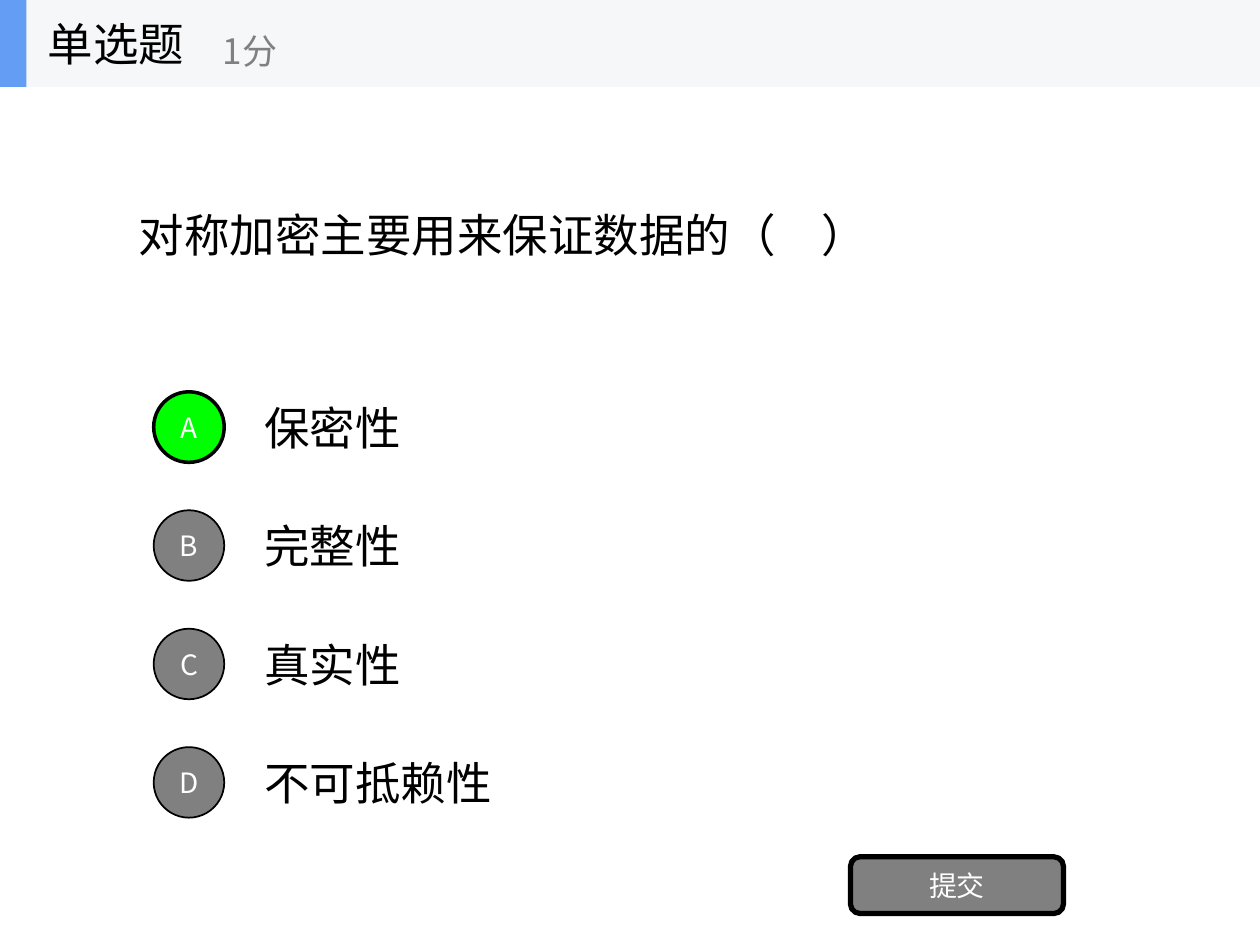
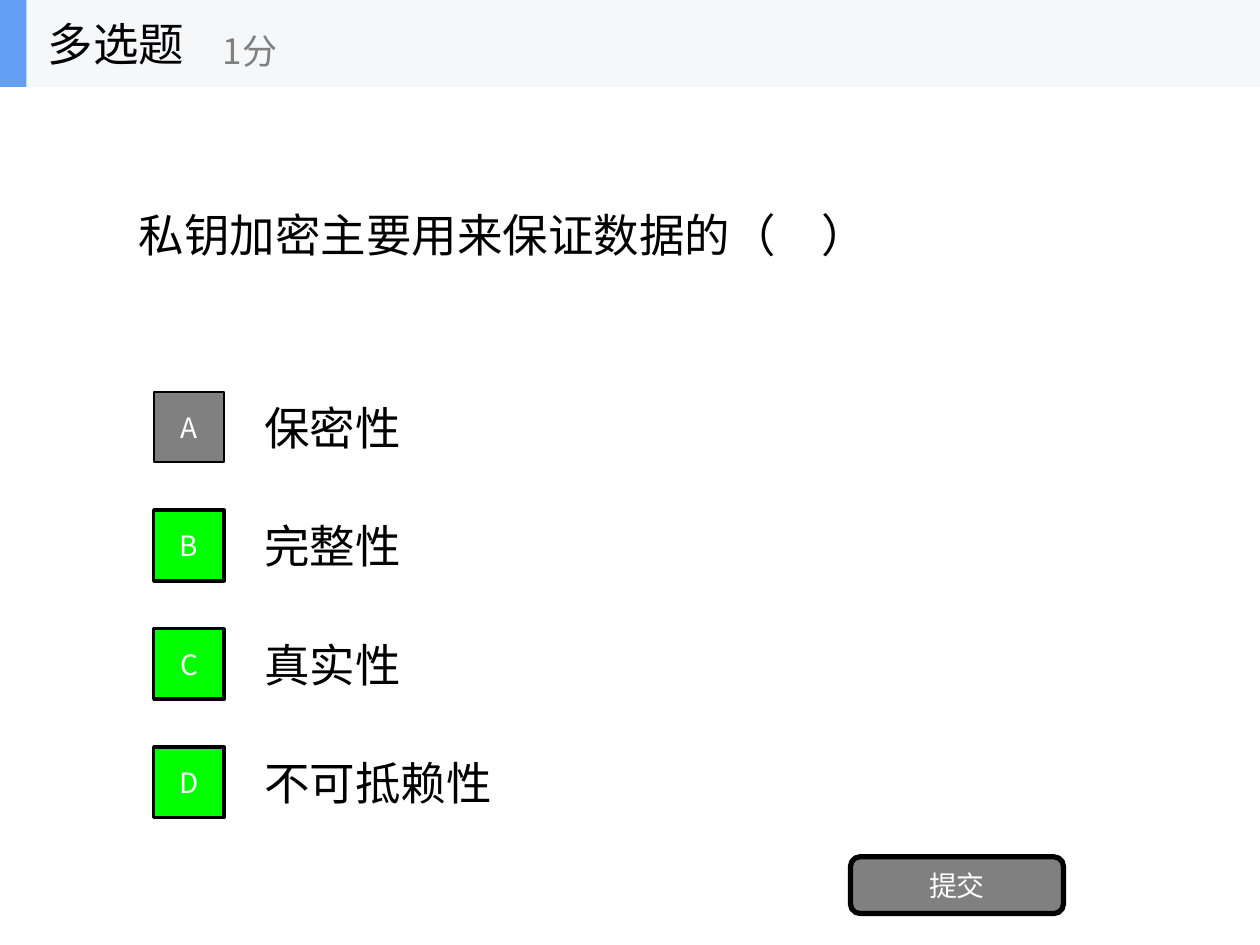
"""Build two quiz slides: a single-choice and a multiple-choice question."""
from dataclasses import dataclass

from lxml import etree
from pptx import Presentation
from pptx.dml.color import RGBColor
from pptx.enum.shapes import MSO_SHAPE
from pptx.enum.text import MSO_ANCHOR, MSO_AUTO_SIZE, PP_ALIGN
from pptx.oxml.ns import qn
from pptx.util import Inches, Pt

RECT = MSO_SHAPE.RECTANGLE
OVAL = MSO_SHAPE.OVAL
ROUNDED = MSO_SHAPE.ROUNDED_RECTANGLE
MIDDLE = MSO_ANCHOR.MIDDLE
LEFT = PP_ALIGN.LEFT
CENTER = PP_ALIGN.CENTER
NO_FIT = MSO_AUTO_SIZE.NONE
TITLE_ONLY = 5


@dataclass(frozen=True)
class Theme:
    font: str = "Noto Sans CJK SC"
    ink: str = "000000"
    muted: str = "808080"
    white: str = "FFFFFF"
    correct: str = "00FF00"
    band: str = "F6F7F8"
    accent: str = "639EF4"
    main_size: int = 26
    score_size: int = 20
    button_size: int = 16


@dataclass(frozen=True)
class Box:
    left: float
    top: float
    width: float
    height: float

    def emu(self) -> tuple:
        return tuple(Inches(v) for v in (self.left, self.top, self.width, self.height))


@dataclass(frozen=True)
class Question:
    kind: str
    prompt: str
    options: tuple[str, ...]
    answers: str
    marker: MSO_SHAPE


THEME = Theme()
HEADER_H = 0.69
OPTION_TOP = 3.04
OPTION_STEP = 0.94
OPTION_H = 0.7
MARKER = 0.56
OPTIONS = ("保密性", "完整性", "真实性", "不可抵赖性")
QUESTIONS = (
    Question("单选题", "对称加密主要用来保证数据的（　）", OPTIONS, "A", OVAL),
    Question("多选题", "私钥加密主要用来保证数据的（　）", OPTIONS, "BCD", RECT),
)


def write(sp, text: str, size: int, color: str, align=LEFT) -> None:
    """Fill a shape with one formatted, vertically centred paragraph."""
    tf = sp.text_frame
    tf.text = text
    tf.word_wrap = True
    tf.auto_size = NO_FIT
    tf.vertical_anchor = MIDDLE
    p = tf.paragraphs[0]
    p.alignment = align
    p.font.size = Pt(size)
    p.font.name = THEME.font
    p.font.color.rgb = RGBColor.from_string(color)
    props = p._p.get_or_add_pPr().find(qn("a:defRPr"))
    etree.SubElement(props, qn("a:ea")).set("typeface", THEME.font)


def add_label(shapes, box: Box, text: str, size: int, color: str) -> None:
    """Add a left-aligned text box."""
    write(shapes.add_textbox(*box.emu()), text, size, color)


def add_block(shapes, kind: MSO_SHAPE, box: Box, fill: str, line: float = 0):
    """Add a flat shape, outlined when a line width is given."""
    sp = shapes.add_shape(kind, *box.emu())
    sp.shadow.inherit = False
    sp.fill.solid()
    sp.fill.fore_color.rgb = RGBColor.from_string(fill)
    if line:
        sp.line.color.rgb = RGBColor.from_string(THEME.ink)
        sp.line.width = Pt(line)
    else:
        sp.line.fill.background()
    return sp


def add_button(shapes, kind: MSO_SHAPE, box: Box, text: str, fill: str, line: float) -> None:
    """Add an outlined shape with centred white text."""
    sp = add_block(shapes, kind, box, fill, line)
    write(sp, text, THEME.button_size, THEME.white, CENTER)


def add_option(shapes, q: Question, i: int) -> None:
    """Add one answer with its lettered marker."""
    top = OPTION_TOP + i * OPTION_STEP
    letter = "ABCD"[i]
    fill, line = (THEME.correct, 2) if letter in q.answers else (THEME.muted, 1)
    add_label(shapes, Box(2, top, 7, OPTION_H), q.options[i], THEME.main_size, THEME.ink)
    marker_box = Box(1.22, top + (OPTION_H - MARKER) / 2, MARKER, MARKER)
    add_button(shapes, q.marker, marker_box, letter, fill, line)


def add_header(slide, kind: str) -> None:
    """Add the grouped band with the question type and score."""
    shapes = slide.shapes.add_group_shape().shapes
    add_block(shapes, RECT, Box(0, 0, 10, HEADER_H), THEME.band)
    add_block(shapes, RECT, Box(0, 0, 0.21, HEADER_H), THEME.accent)
    add_label(shapes, Box(0.28, 0, 2.08, HEADER_H), kind, THEME.main_size, THEME.ink)
    add_label(shapes, Box(1.67, 0.12, 2.5, 0.56), "1分", THEME.score_size, THEME.muted)


def add_question(prs, q: Question) -> None:
    """Add a complete question slide."""
    slide = prs.slides.add_slide(prs.slide_layouts[TITLE_ONLY])
    title = slide.shapes.title
    title.left, title.top, title.width, title.height = Box(1, HEADER_H, 8, 2.34).emu()
    write(title, q.prompt, THEME.main_size, THEME.ink)
    for i in range(len(q.options)):
        add_option(slide.shapes, q, i)
    add_button(slide.shapes, ROUNDED, Box(6.75, 6.8, 1.69, 0.45), "提交", THEME.muted, 3)
    add_header(slide, q.kind)


def main() -> None:
    """Build and save the presentation."""
    prs = Presentation()
    prs.slide_width = Inches(10)
    prs.slide_height = Inches(7.5)
    for q in QUESTIONS:
        add_question(prs, q)
    prs.save("out.pptx")


if __name__ == "__main__":
    main()
